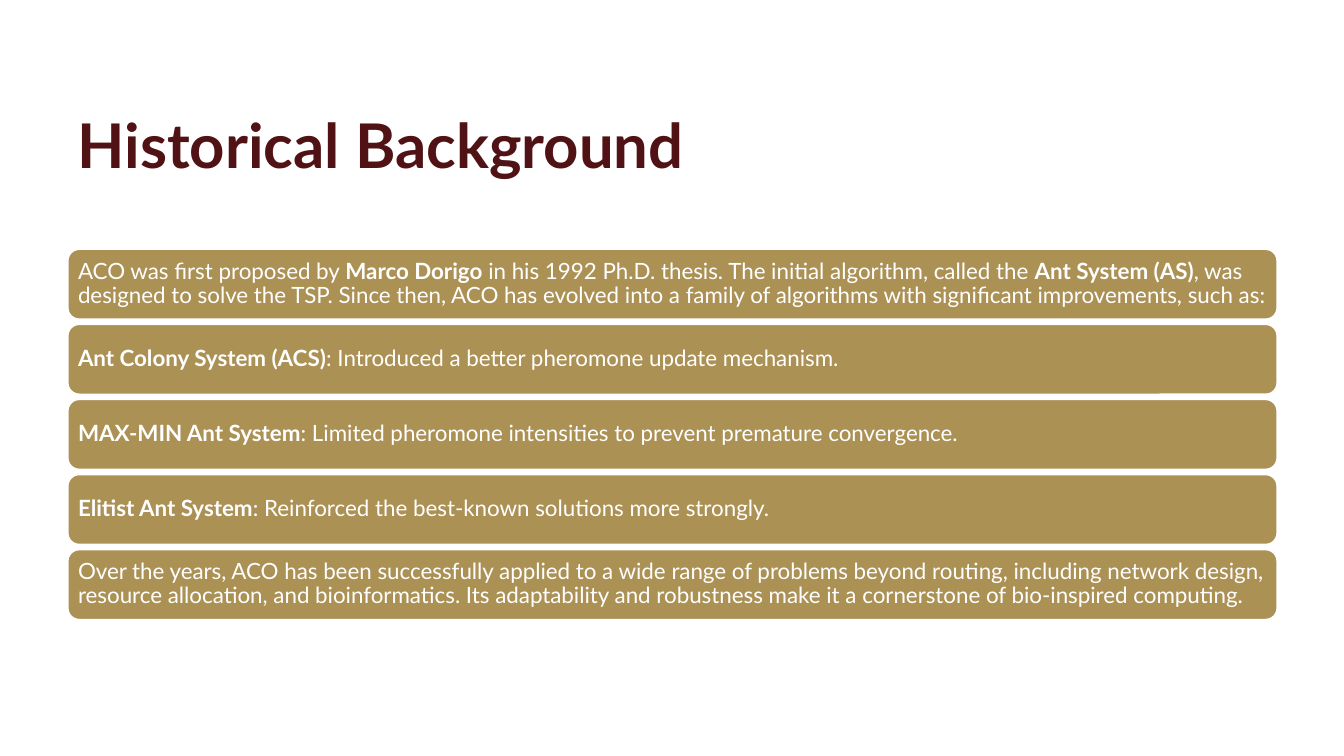
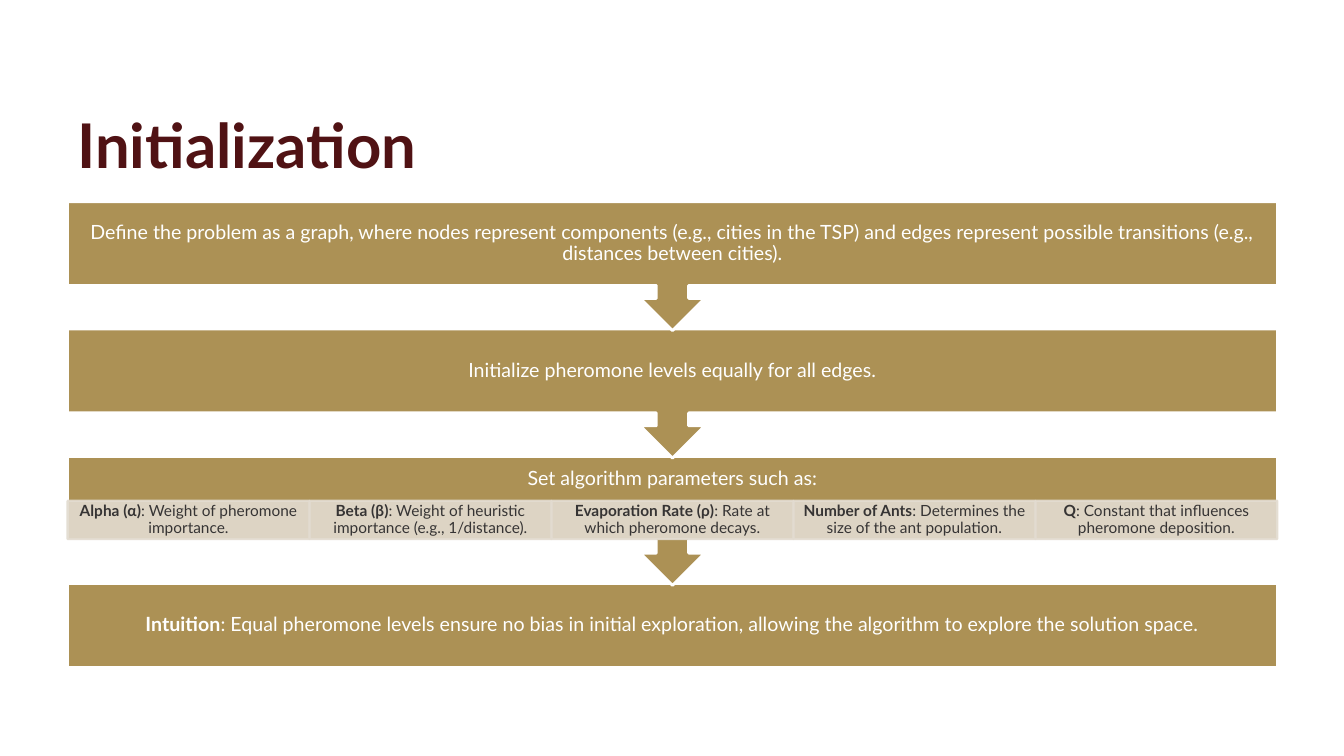
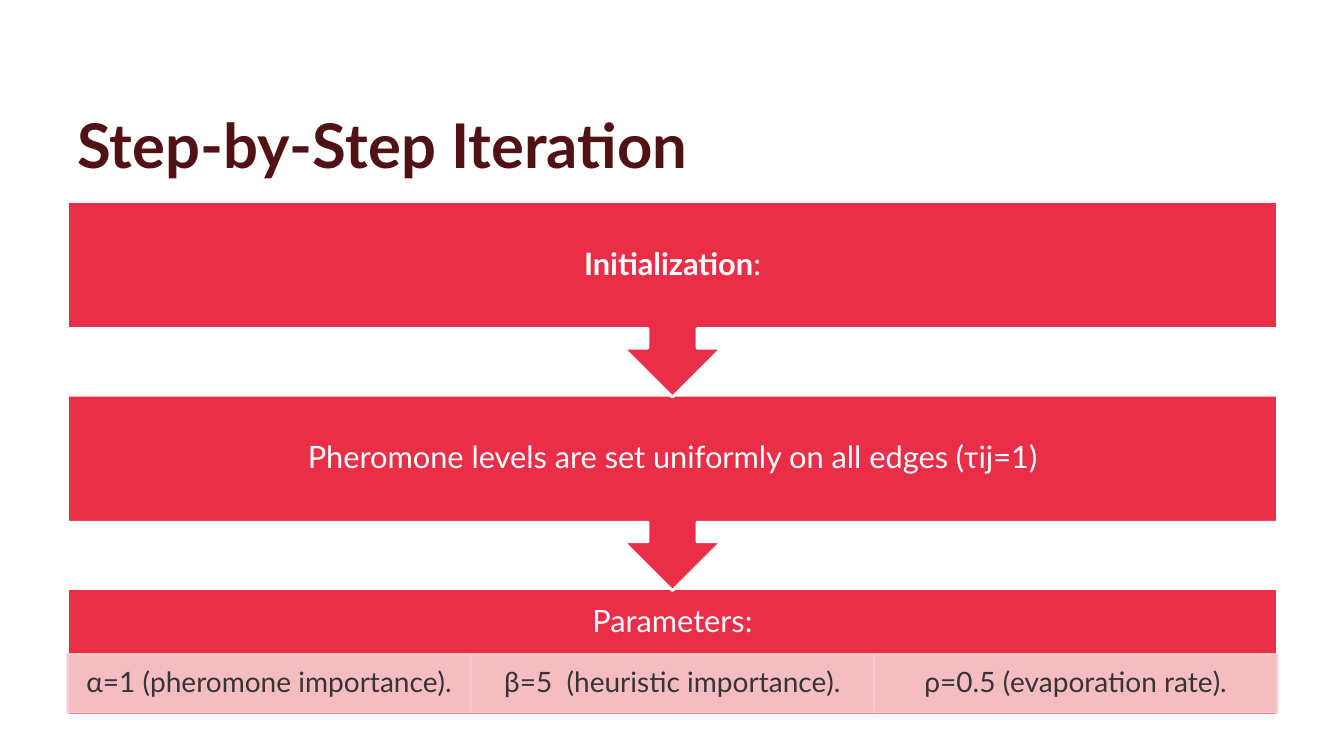
from dataclasses import dataclass

from pptx import Presentation
from pptx.dml.color import RGBColor
from pptx.enum import shapes, text
from pptx.oxml.ns import qn
from pptx.util import Inches, Pt
from lxml import etree


@dataclass(frozen=True)
class Theme:
    font: str = "Lato"
    title_color: str = "501214"
    white: str = "FFFFFF"
    dark: str = "363434"
    gold: str = "AC9155"
    gold_tint: str = "E3DCD1"
    red: str = "EB2E47"
    red_tint: str = "F7CDCF"
    title_size: int = 44
    list_size: int = 16
    left: float = 0.67
    width: float = 12


THEME = Theme()
KIND = shapes.MSO_SHAPE


@dataclass(frozen=True)
class FlowStyle:
    """Colours, type sizes and measures (inches) of one step flow."""
    color: str
    tint: str
    step_size: int
    detail_size: int
    pitch: float
    box_height: float
    callout_height: float
    detail_top: float
    detail_height: float
    inset: float
    detail_insets: tuple


GOLD_FLOW = FlowStyle(THEME.gold, THEME.gold_tint, 14, 11, 1.264, 0.83, 1.28,
                      0.44, 0.38, 0.11, (0.09, 0.02, 0.09, 0.02))
RED_FLOW = FlowStyle(THEME.red, THEME.red_tint, 22, 20, 1.92, 1.26, 1.94,
                     0.65, 0.58, 0.17, (0.16, 0.03, 0.16, 0.03))


def write(box, content, size, color, align=text.PP_ALIGN.LEFT,
          anchor=text.MSO_ANCHOR.MIDDLE, insets=(0.1, 0.05, 0.1, 0.05)):
    """Write one paragraph; parts between ** marks are bold."""
    frame = box.text_frame
    frame.word_wrap = True
    frame.vertical_anchor = anchor
    (frame.margin_left, frame.margin_top,
     frame.margin_right, frame.margin_bottom) = map(Inches, insets)
    para = frame.paragraphs[0]
    para.alignment = align
    para.line_spacing = 0.9
    for index, part in enumerate(content.split("**")):
        if part:
            span = para.add_run()
            span.text = part
            span.font.name = THEME.font
            span.font.size = Pt(size)
            span.font.bold = index % 2 == 1
            span.font.color.rgb = RGBColor.from_string(color)


def add_panel(page, kind, place, fill, line, line_width):
    panel = page.shapes.add_shape(kind, *map(Inches, place))
    panel.shadow.inherit = False
    panel.fill.solid()
    panel.fill.fore_color.rgb = RGBColor.from_string(fill)
    panel.line.color.rgb = RGBColor.from_string(line)
    panel.line.width = Pt(line_width)
    return panel


def set_opacity(panel, percent):
    """Make the fill and the line of a panel translucent."""
    for color in panel.element.spPr.iter(qn("a:srgbClr")):
        etree.SubElement(color, qn("a:alpha"), val=str(percent * 1000))


def add_page(deck, title):
    page = deck.slides.add_slide(deck.slide_layouts[6])
    box = page.shapes.add_textbox(Inches(THEME.left), Inches(0.4),
                                  Inches(THEME.width), Inches(1.45))
    write(box, f"**{title}**", THEME.title_size, THEME.title_color,
          anchor=text.MSO_ANCHOR.BOTTOM)
    return page


def add_bars(page, items, top=2.47, pitch=0.745, height=0.7):
    for index, item in enumerate(items):
        place = (THEME.left, top + index * pitch, THEME.width, height)
        bar = add_panel(page, KIND.ROUNDED_RECTANGLE, place,
                        THEME.gold, THEME.white, 1.5)
        bar.adjustments[0] = 0.1667
        write(bar, item, THEME.list_size, THEME.white, insets=(0.07,) * 4)


def add_details(page, details, top, style):
    width = THEME.width / len(details)
    for index, detail in enumerate(details):
        place = (THEME.left + index * width, top, width, style.detail_height)
        cell = add_panel(page, KIND.RECTANGLE, place, style.tint, style.tint, 1.5)
        set_opacity(cell, 90)
        write(cell, detail, style.detail_size, THEME.dark,
              text.PP_ALIGN.CENTER, insets=style.detail_insets)


def add_flow(page, steps, style, top=2):
    """Stack (heading, details) steps; each arrow overlaps the step below."""
    last = len(steps) - 1
    for index, (heading, details) in reversed(list(enumerate(steps))):
        step_top = top + index * style.pitch
        kind, height = KIND.DOWN_ARROW_CALLOUT, style.callout_height
        if index == last:
            kind, height = KIND.RECTANGLE, style.box_height
        step = add_panel(page, kind, (THEME.left, step_top, THEME.width, height),
                         style.color, THEME.white, 2)
        # Keep the heading clear of the detail row
        bottom = style.inset + (style.detail_height if details else 0)
        write(step, heading, style.step_size, THEME.white, text.PP_ALIGN.CENTER,
              insets=(style.inset, style.inset, style.inset, bottom))
        if details:
            add_details(page, details, step_top + style.detail_top, style)


def main():
    deck = Presentation()
    deck.slide_width, deck.slide_height = Inches(13.33), Inches(7.5)

    # History
    add_bars(add_page(deck, "Historical Background"), [
        "ACO was first proposed by **Marco Dorigo** in his 1992 Ph.D. thesis. "
        "The initial algorithm, called the **Ant System (AS)**, was designed to "
        "solve the TSP. Since then, ACO has evolved into a family of algorithms "
        "with significant improvements, such as:",
        "**Ant Colony System (ACS)**: Introduced a better pheromone update mechanism.",
        "**MAX-MIN Ant System**: Limited pheromone intensities to prevent "
        "premature convergence.",
        "**Elitist Ant System**: Reinforced the best-known solutions more strongly.",
        "Over the years, ACO has been successfully applied to a wide range of "
        "problems beyond routing, including network design, resource allocation, "
        "and bioinformatics. Its adaptability and robustness make it a "
        "cornerstone of bio-inspired computing.",
    ])

    # Initialization
    add_flow(add_page(deck, "Initialization"), [
        ("Define the problem as a graph, where nodes represent components (e.g., "
         "cities in the TSP) and edges represent possible transitions (e.g., "
         "distances between cities).", []),
        ("Initialize pheromone levels equally for all edges.", []),
        ("Set algorithm parameters such as:", [
            "**Alpha (α)**: Weight of pheromone importance.",
            "**Beta (β)**: Weight of heuristic importance (e.g., 1/distance).",
            "**Evaporation Rate (ρ)**: Rate at which pheromone decays.",
            "**Number of Ants**: Determines the size of the ant population.",
            "**Q**: Constant that influences pheromone deposition.",
        ]),
        ("**Intuition**: Equal pheromone levels ensure no bias in initial "
         "exploration, allowing the algorithm to explore the solution space.", []),
    ], GOLD_FLOW)

    # Iteration
    add_flow(add_page(deck, "Step-by-Step Iteration"), [
        ("**Initialization**:", []),
        ("Pheromone levels are set uniformly on all edges (τij=1)", []),
        ("Parameters:", [
            "α=1 (pheromone importance).",
            "β=5  (heuristic importance).",
            "ρ=0.5 (evaporation rate).",
        ]),
    ], RED_FLOW)

    deck.save("out.pptx")


if __name__ == "__main__":
    main()
